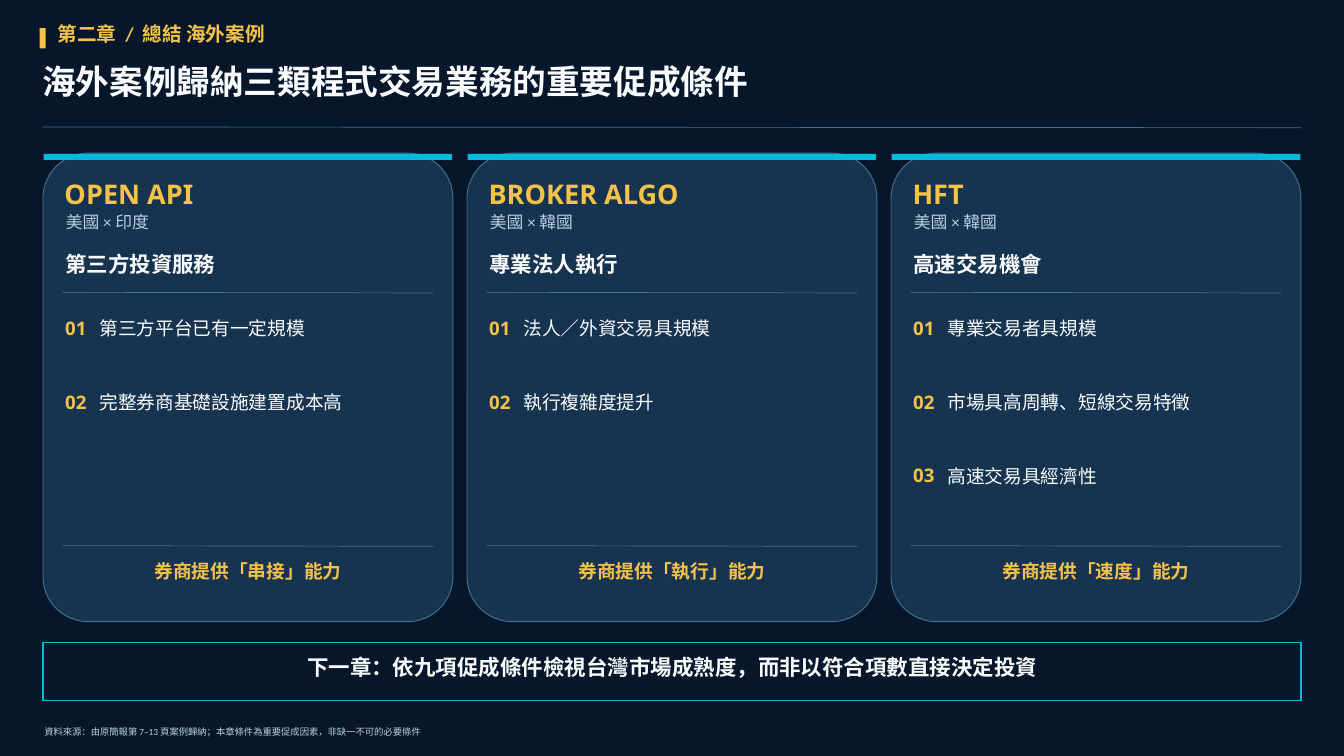
from pptx import Presentation
from pptx.dml.color import RGBColor
from pptx.enum.shapes import MSO_CONNECTOR as Connector, MSO_SHAPE as Shape
from pptx.enum.text import MSO_AUTO_SIZE as AutoSize, PP_ALIGN as Align
from pptx.oxml.ns import qn
from pptx.util import Inches, Pt
from lxml.etree import SubElement

CHAPTER = "第二章  /  總結 海外案例"
TITLE = "海外案例歸納三類程式交易業務的重要促成條件"
CARDS = [
    {"name": "OPEN API", "markets": "美國 × 印度", "theme": "第三方投資服務",
     "conditions": ["第三方平台已有一定規模", "完整券商基礎設施建置成本高"],
     "capability": "券商提供「串接」能力"},
    {"name": "BROKER ALGO", "markets": "美國 × 韓國", "theme": "專業法人執行",
     "conditions": ["法人／外資交易具規模", "執行複雜度提升"],
     "capability": "券商提供「執行」能力"},
    {"name": "HFT", "markets": "美國 × 韓國", "theme": "高速交易機會",
     "conditions": ["專業交易者具規模", "市場具高周轉、短線交易特徵", "高速交易具經濟性"],
     "capability": "券商提供「速度」能力"},
]
NEXT_CHAPTER = "下一章：依九項促成條件檢視台灣市場成熟度，而非以符合項數直接決定投資"
SOURCE = "資料來源：由原簡報第 7–13 頁案例歸納；本章條件為重要促成因素，非缺一不可的必要條件"


class Theme:
    navy = RGBColor.from_string("06172B")
    panel = RGBColor.from_string("16334F")
    border = RGBColor.from_string("467192")
    cyan = RGBColor.from_string("00BBDE")
    gold = RGBColor.from_string("F6C247")
    white = RGBColor.from_string("FAFCFF")
    muted = RGBColor.from_string("BACEDF")
    body, display = "Calibri", "Noto Sans"
    # style: size, font, colour, bold
    styles = {
        "chapter": (21, body, gold, True),
        "title": (36, body, white, True),
        "name": (29, display, gold, True),
        "markets": (18, body, muted, False),
        "theme": (23, body, white, True),
        "number": (20, display, gold, True),
        "condition": (20, body, white, False),
        "capability": (20, body, gold, True),
        "source": (10, body, muted, False),
    }


LINE_HEIGHT = 1.2
CARD_LEFT, CARD_TOP, CARD_WIDTH, CARD_HEIGHT = 0.64, 2.28, 6.1, 6.97
CARD_PITCH = 6.31
CORNER_RADIUS = 0.67
CONDITION_TOP, CONDITION_PITCH = 4.71, 1.1


def add_text(slide, text, style, left, top, width, height, align=Align.LEFT):
    size, font, color, bold = Theme.styles[style]
    box = slide.shapes.add_textbox(*map(Inches, (left, top, width, height)))
    frame = box.text_frame
    frame_format = {"word_wrap": True, "auto_size": AutoSize.SHAPE_TO_FIT_TEXT,
                    "margin_left": 0, "margin_right": 0, "margin_top": 0, "margin_bottom": 0}
    for name, value in frame_format.items():
        setattr(frame, name, value)
    paragraph = frame.paragraphs[0]
    paragraph.alignment = align
    paragraph.line_spacing = Pt(size * LINE_HEIGHT)
    run = paragraph.add_run()
    run.text = text
    for name, value in {"size": Pt(size), "name": font, "bold": bold}.items():
        setattr(run.font, name, value)
    run.font.color.rgb = color


def add_block(slide, left, top, width, height, fill, line=None, line_width=1, kind=Shape.RECTANGLE):
    shape = slide.shapes.add_shape(kind, *map(Inches, (left, top, width, height)))
    shape.shadow.inherit = False
    shape.fill.solid()
    shape.fill.fore_color.rgb = fill
    if line is None:
        shape.line.fill.background()
    else:
        shape.line.color.rgb = line
        shape.line.width = Pt(line_width)
    return shape


def add_rule(slide, left, right, top):
    """Draw a thin divider that falls by a hundredth of an inch."""
    rule = slide.shapes.add_connector(
        Connector.STRAIGHT, *map(Inches, (left, top, right, top + 0.01)))
    rule.line.color.rgb = Theme.border
    rule.line.width = Pt(0.75)
    SubElement(rule._element.spPr, qn("a:effectLst"))


def add_card(slide, left, card):
    panel = add_block(slide, left, CARD_TOP, CARD_WIDTH, CARD_HEIGHT, Theme.panel,
                      Theme.border, kind=Shape.ROUNDED_RECTANGLE)
    panel.adjustments[0] = CORNER_RADIUS / CARD_WIDTH
    add_block(slide, left + 0.01, CARD_TOP + 0.01, CARD_WIDTH - 0.02, 0.09, Theme.cyan)

    add_text(slide, card["name"], "name", left + 0.32, 2.64, 5.46, 0.5)
    add_text(slide, card["markets"], "markets", left + 0.34, 3.15, 5.42, 0.41)
    add_text(slide, card["theme"], "theme", left + 0.33, 3.73, 5.43, 0.47)
    add_rule(slide, left + 0.3, left + 5.8, 4.35)

    for index, condition in enumerate(card["conditions"]):
        top = CONDITION_TOP + index * CONDITION_PITCH
        add_text(slide, f"{index + 1:02}", "number", left + 0.33, top, 0.4, 0.43)
        add_text(slide, condition, "condition", left + 0.84, top + 0.01, 4.93, 0.9)

    add_rule(slide, left + 0.29, left + 5.81, 8.12)
    add_text(slide, card["capability"], "capability", left + 0.24, 8.33, 5.62, 0.48, Align.CENTER)


def main():
    presentation = Presentation()
    presentation.slide_width, presentation.slide_height = Inches(20), Inches(11.25)
    slide = presentation.slides.add_slide(presentation.slide_layouts[6])
    slide.background.fill.solid()
    slide.background.fill.fore_color.rgb = Theme.navy

    add_block(slide, 0.59, 0.42, 0.09, 0.3, Theme.gold)
    add_text(slide, CHAPTER, "chapter", 0.86, 0.32, 10, 0.47)
    add_text(slide, TITLE, "title", 0.63, 0.91, 18.85, 0.75)
    add_rule(slide, 0.63, 19.36, 1.89)

    for index, card in enumerate(CARDS):
        add_card(slide, CARD_LEFT + index * CARD_PITCH, card)

    add_block(slide, CARD_LEFT, 9.56, 18.72, 0.87, Theme.navy, Theme.cyan, 1.3)
    add_text(slide, NEXT_CHAPTER, "theme", 0.91, 9.73, 18.2, 0.56, Align.CENTER)
    add_text(slide, SOURCE, "source", 0.66, 10.81, 18.55, 0.22)
    presentation.save("out.pptx")


if __name__ == "__main__":
    main()
